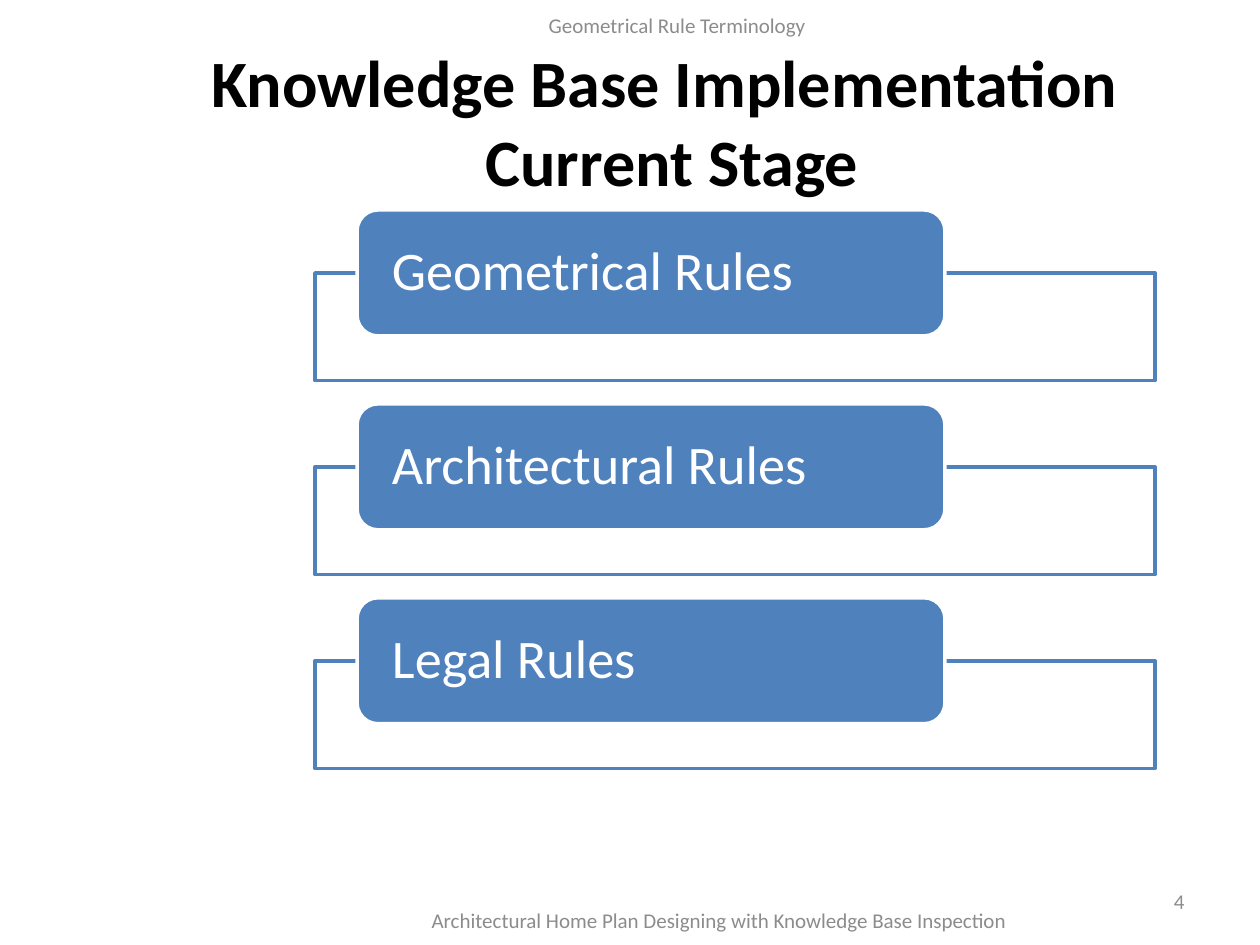
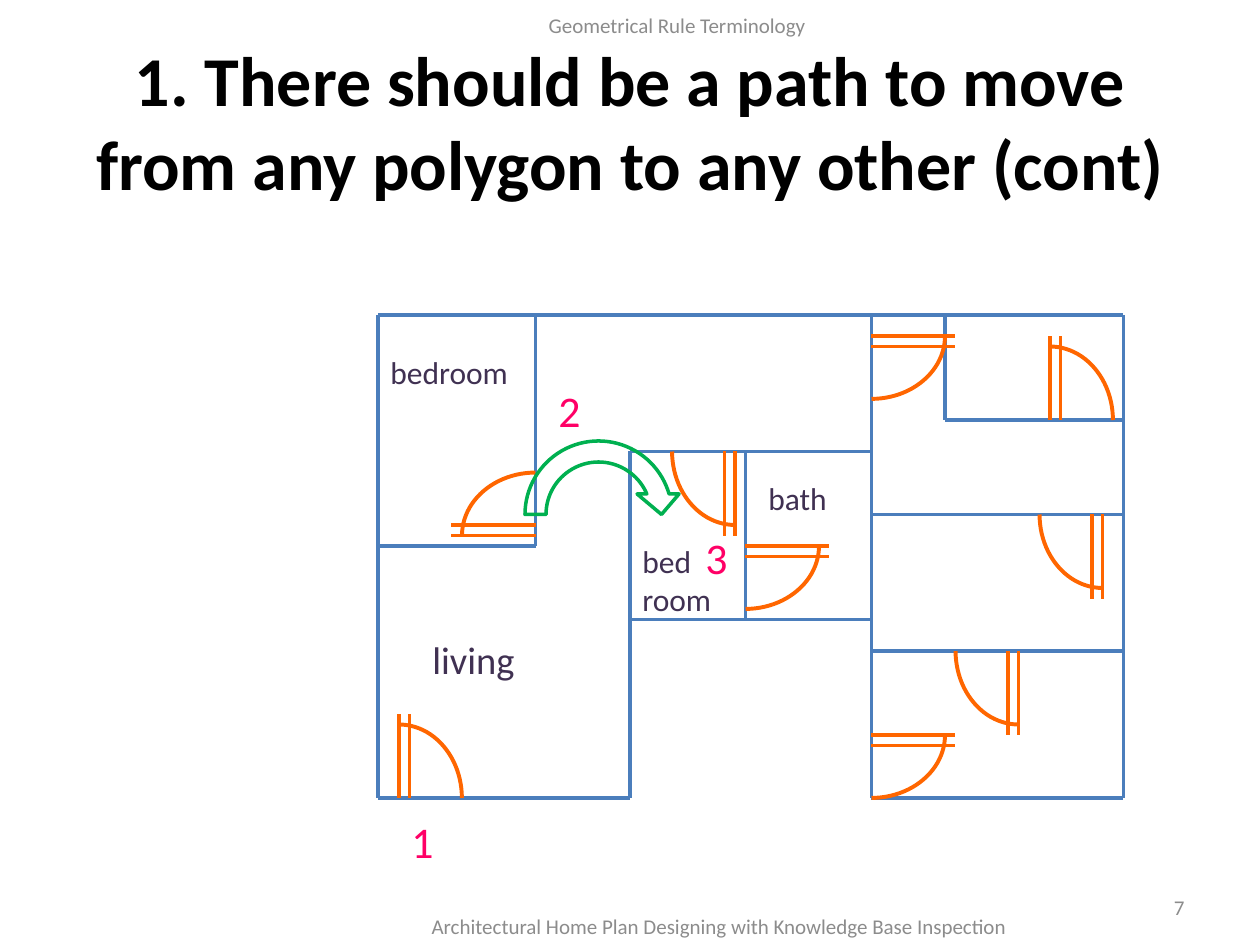
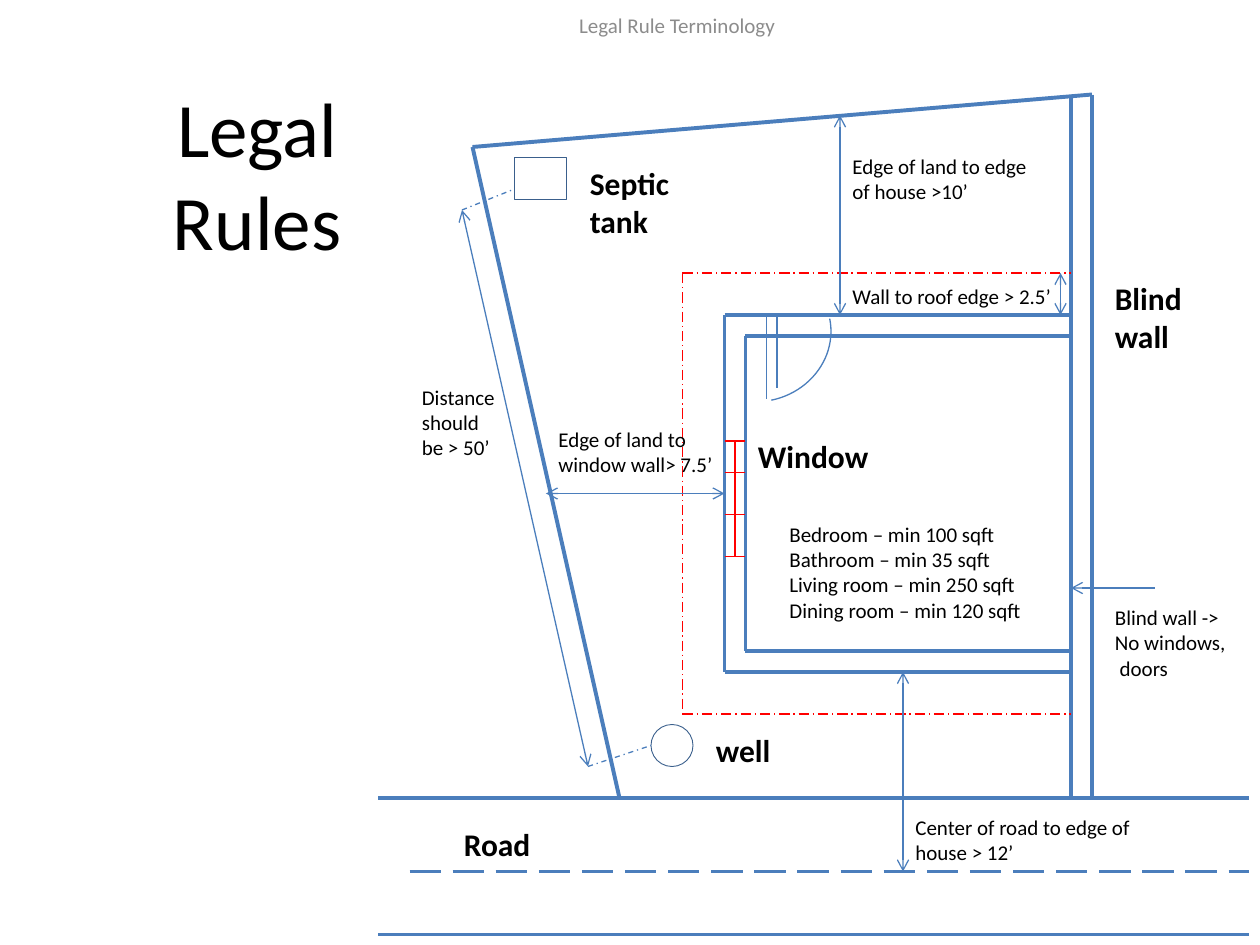
import math

from lxml import etree
from pptx import Presentation
from pptx import util as u
from pptx.dml import color
from pptx.enum import dml, shapes, text
from pptx.oxml import ns

FONT = "Calibri"
BLACK = color.RGBColor(0x00, 0x00, 0x00)
WHITE = color.RGBColor(0xFF, 0xFF, 0xFF)
GRAY = color.RGBColor(0x8C, 0x8C, 0x8C)
BLUE = color.RGBColor(0x4F, 0x81, 0xBD)
WALL_BLUE = color.RGBColor(0x4B, 0x7E, 0xBC)
OUTLINE_BLUE = color.RGBColor(0x3A, 0x5F, 0x8C)
ORANGE = color.RGBColor(0xFF, 0x66, 0x00)
PINK = color.RGBColor(0xFF, 0x00, 0x66)
GREEN = color.RGBColor(0x00, 0xB0, 0x50)
PURPLE = color.RGBColor(0x40, 0x31, 0x52)
RED = color.RGBColor(0xFF, 0x00, 0x00)

LEFT, CENTER, RIGHT = text.PP_ALIGN.LEFT, text.PP_ALIGN.CENTER, text.PP_ALIGN.RIGHT
TOP, MIDDLE = text.MSO_ANCHOR.TOP, text.MSO_ANCHOR.MIDDLE
FORM = shapes.MSO_SHAPE
DASH = dml.MSO_LINE
THICK, THIN = 2.25, 0.75


def assign(target, **values):
    for name, value in values.items():
        setattr(target, name, value)


class Deck:
    def __init__(self):
        self.show = Presentation()
        assign(self.show, slide_width=u.Pt(720), slide_height=u.Pt(540))
        self.slide = None

    def page(self, header):
        self.slide = self.show.slides.add_slide(self.show.slide_layouts[6])
        self.label(header, (156, 0, 462, 28.8), 12, GRAY, align=CENTER, anchor=MIDDLE)

    def title(self, words, box, size, bold=True):
        self.label(words, box, size, bold=bold, align=CENTER, anchor=MIDDLE)

    def footer(self, number, top):
        self.label(number, (516, top, 168, 28.8), 12, GRAY, align=RIGHT, anchor=MIDDLE)
        self.label("Architectural Home Plan Designing with Knowledge Base Inspection",
                   (180, top + 10.8, 462, 28.8), 12, GRAY, align=CENTER, anchor=MIDDLE)

    def typeset(self, frame, words, size, ink=BLACK, bold=False, align=LEFT,
                anchor=TOP, spacing=None):
        assign(frame, text=words, word_wrap=True, vertical_anchor=anchor)
        for paragraph in frame.paragraphs:
            assign(paragraph, alignment=align, line_spacing=spacing)
            for run in paragraph.runs:
                assign(run.font, name=FONT, size=u.Pt(size), bold=bold)
                run.font.color.rgb = ink

    def label(self, words, box, size, ink=BLACK, **style):
        holder = self.slide.shapes.add_textbox(*map(u.Pt, box))
        self.typeset(holder.text_frame, words, size, ink, **style)

    def shape(self, form, box, line, width, fill=None, rotation=0):
        item = self.slide.shapes.add_shape(form, *map(u.Pt, box))
        item.shadow.inherit = False
        item.rotation = rotation
        if fill is None:
            item.fill.background()
        else:
            item.fill.solid()
            item.fill.fore_color.rgb = fill
        item.line.color.rgb = line
        item.line.width = u.Pt(width)
        return item

    def line(self, ends, ink=WALL_BLUE, width=THICK, dash=None, arrows=()):
        item = self.slide.shapes.add_connector(
            shapes.MSO_CONNECTOR.STRAIGHT, *map(u.Pt, ends))
        item.line.color.rgb = ink
        assign(item.line, width=u.Pt(width), dash_style=dash)
        properties = item._element.spPr
        for end in arrows:
            etree.SubElement(properties.find(ns.qn("a:ln")), ns.qn(f"a:{end}"), type="arrow")
        etree.SubElement(properties, ns.qn("a:effectLst"))

    def lines(self, all_ends, **style):
        for ends in all_ends:
            self.line(ends, **style)

    def door(self, x, y, rotation):
        cos = round(math.cos(math.radians(rotation)))
        sin = round(math.sin(math.radians(rotation)))
        for offset in (0, 6):
            start_x, start_y = x + offset * cos, y + offset * sin
            self.line((start_x, start_y, start_x + 48 * sin, start_y - 48 * cos), ORANGE)
        self.shape(FORM.ARC, (x - 36, y - 42, 72, 84), ORANGE, THICK, rotation=rotation)


def stage_slide(deck):
    deck.page("Geometrical Rule Terminology")
    deck.title("Knowledge Base Implementation \vCurrent Stage", (60, 24, 648, 90), 37.8)
    for row, rule in enumerate(("Geometrical Rules", "Architectural Rules", "Legal Rules")):
        top = 120 + row * 110.8
        deck.shape(FORM.RECTANGLE, (180, top + 36, 480, 61.5), BLUE, 2, WHITE)
        heading = deck.shape(FORM.ROUNDED_RECTANGLE, (204, top, 336, 72), WHITE, 2, BLUE)
        assign(heading.text_frame, margin_left=u.Pt(16.5), margin_right=u.Pt(16.5),
               margin_top=u.Pt(0), margin_bottom=u.Pt(0))
        deck.typeset(heading.text_frame, rule, 31, WHITE, anchor=MIDDLE, spacing=0.9)
    deck.footer("4", 500.4)


def path_slide(deck):
    deck.page("Geometrical Rule Terminology")
    deck.title("1. There should be a path to move from any polygon to any other (cont)",
               (36, 24, 648, 90), 40)
    deck.lines((
        (216, 180, 216, 456), (216, 180, 642, 180), (216, 456, 360, 456),
        (360, 354, 498, 354), (360, 258, 360, 456), (498, 372, 642, 372),
        (642, 180, 642, 456), (498, 456, 642, 456), (498, 180, 498, 456),
        (360, 258, 498, 258), (540, 240, 642, 240), (540, 180, 540, 240),
        (498, 294, 642, 294), (426, 258, 426, 354), (306, 180, 306, 312),
        (216, 312, 306, 312)))
    for door in ((228, 456, 0), (306, 306, 270), (420, 258, 180), (426, 312, 90),
                 (630, 294, 180), (582, 372, 180), (498, 192, 90), (600, 240, 0),
                 (498, 420, 90)):
        deck.door(*door)
    for step, left, top in (("1", 228, 462), ("3", 396, 300), ("2", 312, 216)):
        deck.label(step, (left, top, 36, 37.5), 25, PINK)
    deck.shape(FORM.CIRCULAR_ARROW, (294, 246, 96, 96), GREEN, 2)
    for room, box, size in (("living", (240, 360, 102, 34), 22),
                            ("bedroom", (216, 198, 102, 29), 18),
                            ("bed\nroom", (360, 306, 102, 51), 18),
                            ("bath", (432, 270, 66, 29), 18)):
        deck.label(room, box, size, PURPLE)
    deck.footer("7", 504)


def legal_slide(deck):
    deck.page("Legal Rule Terminology")
    deck.title("Legal\vRules", (66, 18, 162, 162), 44, bold=False)
    deck.lines((
        (414, 180, 612, 180), (624, 54, 624, 456), (426, 192, 612, 192),
        (612, 54, 612, 456), (426, 192, 426, 372), (426, 372, 612, 372),
        (414, 384, 612, 384), (414, 180, 414, 384), (216, 456, 714, 456),
        (216, 534, 714, 534), (354, 456, 270, 84), (270, 84, 624, 54)))
    deck.line((234, 498, 714, 498), dash=DASH.LONG_DASH)

    deck.lines([(414, y, 426, y) for y in (252, 270, 294, 318)], ink=RED, width=THIN)
    deck.line((420, 252, 420, 318), RED, THIN)
    deck.lines(((390, 156, 612, 156), (390, 408, 612, 408), (390, 156, 390, 408)),
               ink=RED, width=THIN, dash=DASH.LONG_DASH_DOT)

    deck.shape(FORM.ARC, (394, 148.5, 78, 84), WALL_BLUE, THIN, rotation=78.5)
    deck.lines(((438, 228, 438, 180), (444, 180, 444, 222)), width=THIN)
    deck.shape(FORM.OVAL, (372, 414, 24, 24), OUTLINE_BLUE, 0.5)
    deck.shape(FORM.RECTANGLE, (294, 90, 30, 24), OUTLINE_BLUE, 0.5)
    deck.lines(((264, 120, 294, 108), (336, 438, 372, 426)),
               width=THIN, dash=DASH.DASH_DOT)
    deck.lines(((516, 384, 516, 498), (414, 282, 312, 282), (480, 66, 480, 180),
                (264, 120, 336, 438), (606, 180, 606, 156)),
               width=THIN, arrows=("headEnd", "tailEnd"))
    deck.line((660, 336, 612, 336), width=THIN, arrows=("tailEnd",))

    for note, box in (
            ("Edge of land to edge of house >10’", (480, 84, 120, 36)),
            ("Edge of land to window wall> 7.5’", (312, 240, 108, 36)),
            ("Distance\nshould\nbe > 50’", (234, 216, 66, 51)),
            ("Center of road to edge of house > 12’", (516, 462, 156, 36)),
            ("Bedroom – min 100 sqft\nBathroom – min 35 sqft\n"
             "Living room – min 250 sqft\nDining room – min 120 sqft", (444, 294.5, 156, 65.5)),
            ("Wall to roof edge > 2.5’", (480, 158.4, 132, 21.6)),
            ("Blind wall ->\nNo windows,\n doors", (630, 342, 120, 65.5))):
        deck.label(note, box, 12)
    for name, left, top, width, height in (
            ("Road", 258, 468, 66, 29), ("well", 402, 414, 66, 29),
            ("Septic tank", 330, 90, 66, 51), ("Window", 426, 246, 96, 29),
            ("Blind wall", 630, 156, 66, 51)):
        deck.label(name, (left, top, width, height), 18, bold=True)


def main():
    deck = Deck()
    for build in (stage_slide, path_slide, legal_slide):
        build(deck)
    deck.show.save("out.pptx")


if __name__ == "__main__":
    main()
